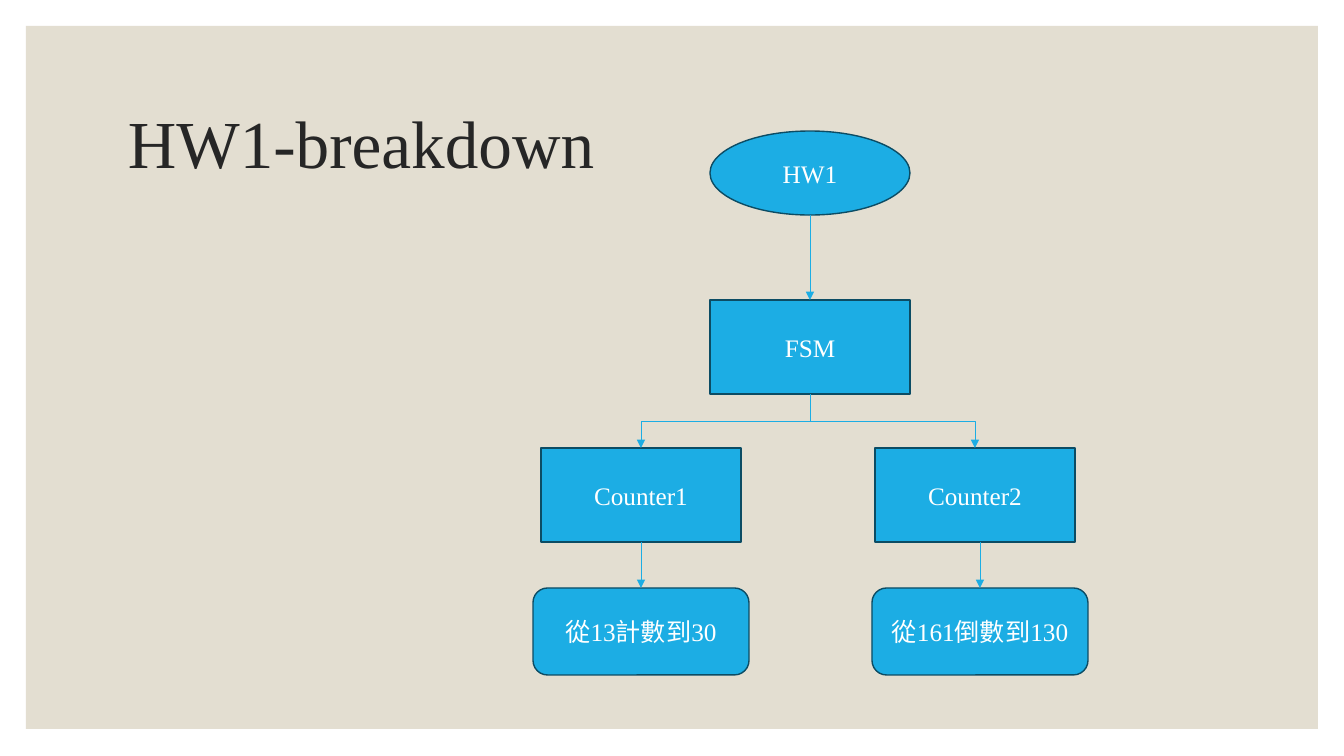
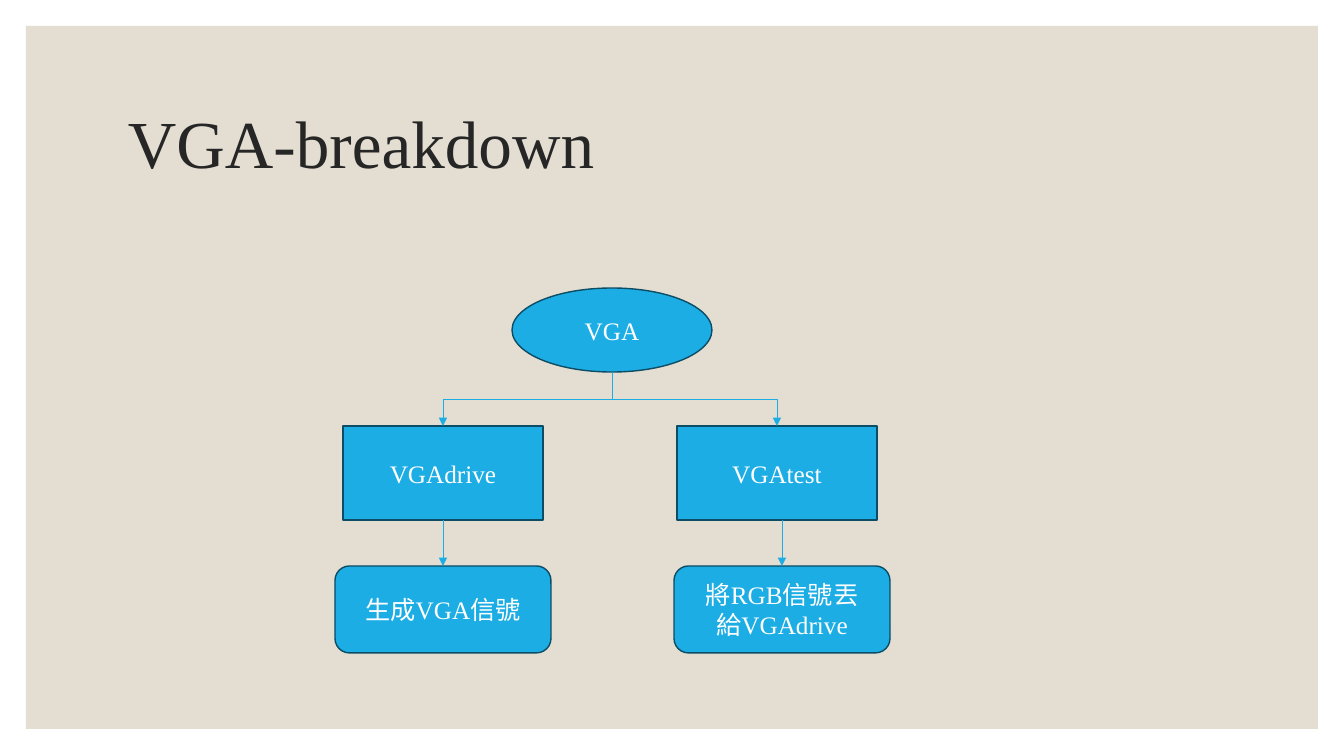
from dataclasses import dataclass

from lxml.etree import SubElement
from pptx import Presentation
from pptx.dml.color import RGBColor
from pptx.enum.shapes import MSO_CONNECTOR, MSO_SHAPE
from pptx.enum.text import MSO_ANCHOR, PP_ALIGN
from pptx.oxml.ns import qn
from pptx.util import Emu, Pt


@dataclass(frozen=True)
class Theme:
    panel: RGBColor = RGBColor.from_string("E3DED1")
    title: RGBColor = RGBColor.from_string("262626")
    node: RGBColor = RGBColor.from_string("1CADE4")
    outline: RGBColor = RGBColor.from_string("0C4C64")
    label: RGBColor = RGBColor.from_string("FFFFFF")
    font: str = "Times New Roman"
    title_size: int = 48
    label_size: int = 18
    outline_width: float = 1
    arrow_width: float = 0.5


THEME = Theme()
SLIDE_W, SLIDE_H, MARGIN = 1344, 756, 26
TITLE_BOX = (118, 71, 1109, 151)

# Tree measures in px
TREE_W = 555
ROOT_W, ROOT_H = 200, 84
BLOCK_W, BLOCK_H = 200, 94
NOTE_W, NOTE_H = 216, 87
STEM_GAP, FORK_GAP, NOTE_GAP = 85, 54, 46
BLOCK_OFFSETS = (8, 342)
NOTE_OFFSETS = (0, TREE_W - NOTE_W)


def px(length):
    return Emu(round(length * 914400 / 100.8))


def apply(target, formats):
    for name, value in formats.items():
        setattr(target, name, value)


def write(frame, lines, size, color, **paragraph_format):
    apply(frame, {"word_wrap": True, "vertical_anchor": MSO_ANCHOR.MIDDLE})
    for index, line in enumerate(lines):
        paragraph = frame.add_paragraph() if index else frame.paragraphs[0]
        paragraph.text = line
        apply(paragraph, paragraph_format)
        apply(paragraph.font, {"name": THEME.font, "size": Pt(size)})
        paragraph.font.color.rgb = color


def add_filled(slide, kind, box, fill):
    shape = slide.shapes.add_shape(kind, *map(px, box))
    shape.shadow.inherit = False
    shape.fill.solid()
    shape.fill.fore_color.rgb = fill
    return shape


def add_node(slide, kind, box, *lines):
    node = add_filled(slide, kind, box, THEME.node)
    node.line.color.rgb = THEME.outline
    node.line.width = Pt(THEME.outline_width)
    write(node.text_frame, lines, THEME.label_size, THEME.label,
          alignment=PP_ALIGN.CENTER)
    return node


def add_arrow(slide, kind, start, end):
    arrow = slide.shapes.add_connector(kind, *map(px, (*start, *end)))
    arrow.line.color.rgb = THEME.node
    arrow.line.width = Pt(THEME.arrow_width)
    properties = arrow._element.spPr
    SubElement(properties.find(qn("a:ln")), qn("a:tailEnd"), type="triangle")
    SubElement(properties, qn("a:effectLst"))
    return arrow


def add_fork(slide, start, end):
    """Elbow that leaves downwards: a sideways elbow given a quarter turn."""
    (x1, y1), (x2, y2) = start, end
    mid_x, mid_y = (x1 + x2) / 2, (y1 + y2) / 2
    half_w, half_h = (y2 - y1) / 2, abs(x2 - x1) / 2
    side = 1 if x2 < x1 else -1
    fork = add_arrow(slide, MSO_CONNECTOR.ELBOW,
                     (mid_x - side * half_w, mid_y - half_h),
                     (mid_x + side * half_w, mid_y + half_h))
    turn = 90 if side == 1 else 270
    fork._element.spPr.find(qn("a:xfrm")).set("rot", str(turn * 60000))


def add_frame(slide, heading):
    # Panel
    panel = add_filled(slide, MSO_SHAPE.RECTANGLE,
                       (MARGIN, MARGIN, SLIDE_W - 2 * MARGIN,
                        SLIDE_H - 2 * MARGIN - 1), THEME.panel)
    panel.line.fill.background()
    # Title
    title = slide.shapes.add_textbox(*map(px, TITLE_BOX))
    write(title.text_frame, [heading], THEME.title_size, THEME.title,
          line_spacing=0.9)


def add_branch(slide, left, top, fork_start, side, label, note_lines):
    block_x = left + BLOCK_OFFSETS[side]
    note_x = left + NOTE_OFFSETS[side]
    note_y = top + BLOCK_H + NOTE_GAP
    block_mid, note_mid = block_x + BLOCK_W // 2, note_x + NOTE_W // 2
    block = add_node(slide, MSO_SHAPE.RECTANGLE,
                     (block_x, top, BLOCK_W, BLOCK_H), label)
    note = add_node(slide, MSO_SHAPE.ROUNDED_RECTANGLE,
                    (note_x, note_y, NOTE_W, NOTE_H), *note_lines)
    add_fork(slide, fork_start, (block_mid, top))
    # The arrow keeps to the middle of the note
    drop = add_arrow(slide, MSO_CONNECTOR.STRAIGHT,
                     (note_mid, top + BLOCK_H), (note_mid, note_y))
    if block_mid == note_mid:
        drop.begin_connect(block, 2)
    drop.end_connect(note, 0)


def add_tree(slide, left, top, root, branches, stage=None):
    # Root
    center = left + TREE_W // 2
    add_node(slide, MSO_SHAPE.OVAL,
             (center - ROOT_W // 2, top, ROOT_W, ROOT_H), root)
    bottom = top + ROOT_H
    # Optional stage between root and branches
    if stage:
        stage_y = bottom + STEM_GAP
        stage_block = add_node(slide, MSO_SHAPE.RECTANGLE,
                               (center - BLOCK_W // 2, stage_y,
                                BLOCK_W, BLOCK_H), stage)
        stem = add_arrow(slide, MSO_CONNECTOR.STRAIGHT,
                         (center, bottom), (center, stage_y))
        stem.end_connect(stage_block, 0)
        bottom = stage_y + BLOCK_H
    # Branches with their notes
    for side, (label, note_lines) in enumerate(branches):
        add_branch(slide, left, bottom + FORK_GAP, (center, bottom),
                   side, label, note_lines)


BREAKDOWNS = [
    ("HW1-breakdown", {
        "left": 533, "top": 131, "root": "HW1", "stage": "FSM",
        "branches": [("Counter1", ["從13計數到30"]),
                     ("Counter2", ["從161倒數到130"])]}),
    ("VGA-breakdown", {
        "left": 335, "top": 288, "root": "VGA",
        "branches": [("VGAdrive", ["生成VGA信號"]),
                     ("VGAtest", ["將RGB信號丟", "給VGAdrive"])]}),
]


def main():
    deck = Presentation()
    apply(deck, {"slide_width": px(SLIDE_W), "slide_height": px(SLIDE_H)})
    for heading, tree in BREAKDOWNS:
        slide = deck.slides.add_slide(deck.slide_layouts[6])
        add_frame(slide, heading)
        add_tree(slide, **tree)
    deck.save("out.pptx")


if __name__ == "__main__":
    main()
